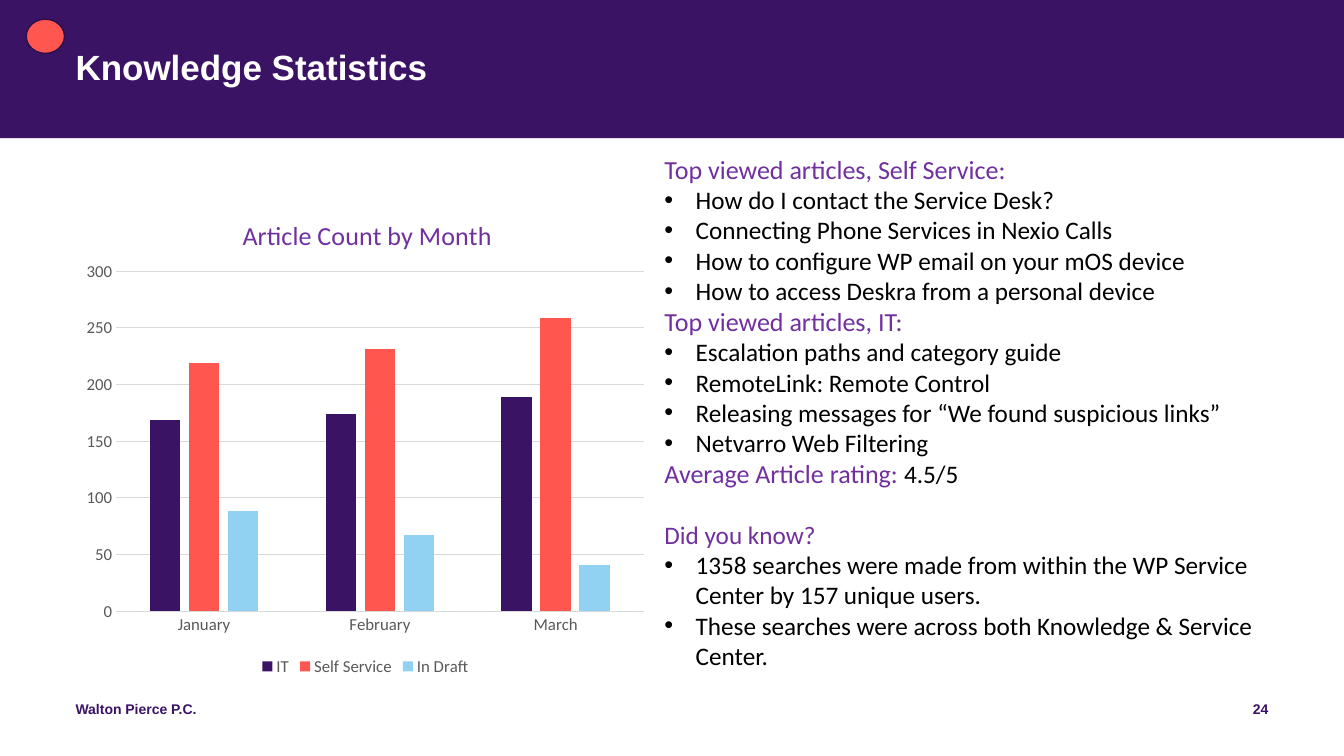
import dataclasses

import pptx
import pptx.chart.data
import pptx.dml.color
import pptx.enum.chart
import pptx.enum.shapes
import pptx.enum.text
import pptx.oxml
import pptx.oxml.ns
import pptx.util

Inches = pptx.util.Inches
Pt = pptx.util.Pt


@dataclasses.dataclass(frozen=True)
class Theme:
    purple: str = "3B1365"
    coral: str = "FF5750"
    sky: str = "91D2F2"
    heading: str = "7030A0"
    outline: str = "2C0E4B"
    black: str = "000000"
    white: str = "FFFFFF"
    axis_text: str = "595959"
    grid: str = "D9D9D9"
    display_font: str = "Arial"
    body_font: str = "Calibri"
    title_size: float = 25
    heading_size: float = 18.6
    body_size: float = 18
    chart_size: float = 12
    footer_size: float = 10


THEME = Theme()

MONTHS = ["January", "February", "March"]
ARTICLE_COUNTS = [
    ("IT", [169, 174, 189], THEME.purple),
    ("Self Service", [219, 231, 259], THEME.coral),
    ("In Draft", [88, 67, 41], THEME.sky),
]

# Each section: heading, text on the heading line, space before, bullets
SECTIONS = [
    ("Top viewed articles, Self Service:", "", 0, [
        "How do I contact the Service Desk?",
        "Connecting Phone Services in Nexio Calls",
        "How to configure WP email on your mOS device",
        "How to access Deskra from a personal device",
    ]),
    ("Top viewed articles, IT:", "", 0, [
        "Escalation paths and category guide",
        "RemoteLink: Remote Control",
        "Releasing messages for “We found suspicious links”",
        "Netvarro Web Filtering",
    ]),
    ("Average Article rating: ", "4.5/5", 0, []),
    ("Did you know?", "", 21.6, [
        "1358 searches were made from within the WP Service Center by 157 unique users.",
        "These searches were across both Knowledge & Service Center.",
    ]),
]


def rgb(color):
    return pptx.dml.color.RGBColor.from_string(color)


def style_font(font, size, color, name=THEME.body_font, bold=False):
    font.size, font.name, font.bold = Pt(size), name, bold
    font.color.rgb = rgb(color)


def add_run(paragraph, text, size, color, name=THEME.body_font, bold=False):
    run = paragraph.add_run()
    run.text = text
    style_font(run.font, size, color, name, bold)


def place(shape, box):
    shape.left, shape.top, shape.width, shape.height = map(Inches, box)


def prepare_frame(shape, margin=None):
    """Wrap the text from the top, with the same margin on all sides if given."""
    frame = shape.text_frame
    frame.word_wrap = True
    frame.vertical_anchor = pptx.enum.text.MSO_ANCHOR.TOP
    frame.auto_size = pptx.enum.text.MSO_AUTO_SIZE.NONE
    if margin is not None:
        frame.margin_left = frame.margin_right = Inches(margin)
        frame.margin_top = frame.margin_bottom = Inches(margin)
    return frame


def add_plain_shape(slide, kind, box, fill, line=None):
    shape = slide.shapes.add_shape(kind, *map(Inches, box))
    shape.shadow.inherit = False
    shape.fill.solid()
    shape.fill.fore_color.rgb = rgb(fill)
    if line:
        shape.line.color.rgb = rgb(line)
        shape.line.width = Pt(1)
    else:
        shape.line.fill.background()
    return shape


def add_header(slide, box):
    left, top, width, height = box
    shapes = pptx.enum.shapes.MSO_SHAPE
    band = add_plain_shape(slide, shapes.RECTANGLE, box, THEME.purple)
    slide.shapes.title.element.addprevious(band.element)
    add_plain_shape(slide, shapes.OVAL, (left + 0.26, top + 0.19, 0.38, 0.34),
                    THEME.coral, THEME.outline)
    title = slide.shapes.title
    place(title, (left + 0.75, top + 0.5, width - 1.5, 0.81))
    paragraph = prepare_frame(title, 0).paragraphs[0]
    paragraph.alignment = pptx.enum.text.PP_ALIGN.LEFT
    paragraph.line_spacing = 0.9
    add_run(paragraph, "Knowledge Statistics", THEME.title_size, THEME.white,
            THEME.display_font, True)


def add_footer(slide, box):
    left, top, width, height = box
    align = pptx.enum.text.PP_ALIGN
    for text, x, part_width, alignment in [
        ("Walton Pierce P.C.", left, 4.5, align.LEFT),
        ("24", left + width - 3, 3, align.RIGHT),
    ]:
        label = slide.shapes.add_textbox(*map(Inches, (x, top, part_width, height)))
        paragraph = prepare_frame(label, 0).paragraphs[0]
        paragraph.alignment = alignment
        add_run(paragraph, text, THEME.footer_size, THEME.purple,
                THEME.display_font, True)


def set_bullet(paragraph, character=None, indent=0.31):
    """Give the paragraph a hanging bullet, or none without a character."""
    properties = paragraph._p.get_or_add_pPr()
    hang = Inches(indent) if character else 0
    properties.set("marL", str(hang))
    properties.set("indent", str(-hang))
    tag = "a:buChar" if character else "a:buNone"
    bullet = pptx.oxml.parse_xml(f"<{tag} {pptx.oxml.ns.nsdecls('a')}/>")
    if character:
        bullet.set("char", character)
    properties.append(bullet)


def add_articles(slide, box):
    body = slide.placeholders[1]
    place(body, box)
    frame = prepare_frame(body)
    paragraphs = iter([frame.paragraphs[0]])

    def new_paragraph(space_before=0, bullet=None):
        paragraph = next(paragraphs, None) or frame.add_paragraph()
        paragraph.space_before = Pt(space_before)
        set_bullet(paragraph, bullet)
        return paragraph

    for heading, detail, space_before, bullets in SECTIONS:
        paragraph = new_paragraph(space_before)
        size = THEME.body_size if space_before else THEME.heading_size
        add_run(paragraph, heading, size, THEME.heading)
        if detail:
            add_run(paragraph, detail, THEME.body_size, THEME.black)
        for text in bullets:
            add_run(new_paragraph(bullet="•"), text, THEME.body_size, THEME.black)


def set_layout(parent, target=None, **fractions):
    """Fix a chart part at fractions of the chart area."""
    for old in parent.findall(pptx.oxml.ns.qn("c:layout")):
        parent.remove(old)
    parts = f'<c:layoutTarget val="{target}"/>' if target else ""
    parts += '<c:xMode val="edge"/><c:yMode val="edge"/>'
    parts += "".join(f'<c:{key} val="{value}"/>' for key, value in fractions.items())
    layout = pptx.oxml.parse_xml(
        f"<c:layout {pptx.oxml.ns.nsdecls('c')}>"
        f"<c:manualLayout>{parts}</c:manualLayout></c:layout>")
    text = parent.find(pptx.oxml.ns.qn("c:tx"))
    if text is None:
        parent.insert(0, layout)
    else:
        text.addnext(layout)


def add_article_chart(slide, box):
    kinds = pptx.enum.chart
    data = pptx.chart.data.CategoryChartData()
    data.categories = MONTHS
    for name, values, color in ARTICLE_COUNTS:
        data.add_series(name, values)
    chart = slide.shapes.add_chart(
        kinds.XL_CHART_TYPE.COLUMN_CLUSTERED, *map(Inches, box), data).chart
    style_font(chart.font, THEME.chart_size, THEME.axis_text)

    chart.has_title = True
    add_run(chart.chart_title.text_frame.paragraphs[0], "Article Count by Month",
            THEME.heading_size, THEME.heading)
    chart.chart_title.include_in_layout = False
    set_layout(chart.chart_title._element, x=0.28, y=0.05)

    plot = chart.plots[0]
    plot.gap_width, plot.overlap, plot.vary_by_categories = 219, -27, False
    for series, (name, values, color) in zip(plot.series, ARTICLE_COUNTS):
        series.format.fill.solid()
        series.format.fill.fore_color.rgb = rgb(color)
    set_layout(chart._chartSpace.chart.plotArea, "inner", x=0.07, y=0.17, w=0.91, h=0.69)

    for axis in (chart.category_axis, chart.value_axis):
        axis.major_tick_mark = axis.minor_tick_mark = kinds.XL_TICK_MARK.NONE
        style_font(axis.tick_labels.font, THEME.chart_size, THEME.axis_text)
    values_axis = chart.value_axis
    values_axis.minimum_scale, values_axis.maximum_scale = 0, 300
    values_axis.major_unit = 50
    values_axis.format.line.fill.background()
    for line in (chart.category_axis.format.line, values_axis.major_gridlines.format.line):
        line.color.rgb = rgb(THEME.grid)
        line.width = Pt(0.75)

    chart.has_legend = True
    chart.legend.position = kinds.XL_LEGEND_POSITION.BOTTOM
    chart.legend.include_in_layout = False
    style_font(chart.legend.font, THEME.chart_size, THEME.axis_text)


def main():
    presentation = pptx.Presentation()
    presentation.slide_width, presentation.slide_height = Inches(13.33), Inches(7.5)
    slide = presentation.slides.add_slide(presentation.slide_layouts[1])
    add_header(slide, (0, 0, 13.33, 1.37))
    add_footer(slide, (0.75, 6.95, 11.83, 0.4))
    add_article_chart(slide, (0.75, 1.86, 5.75, 4.89))
    add_articles(slide, (6.49, 1.47, 6.32, 5.28))
    presentation.save("out.pptx")


if __name__ == "__main__":
    main()
